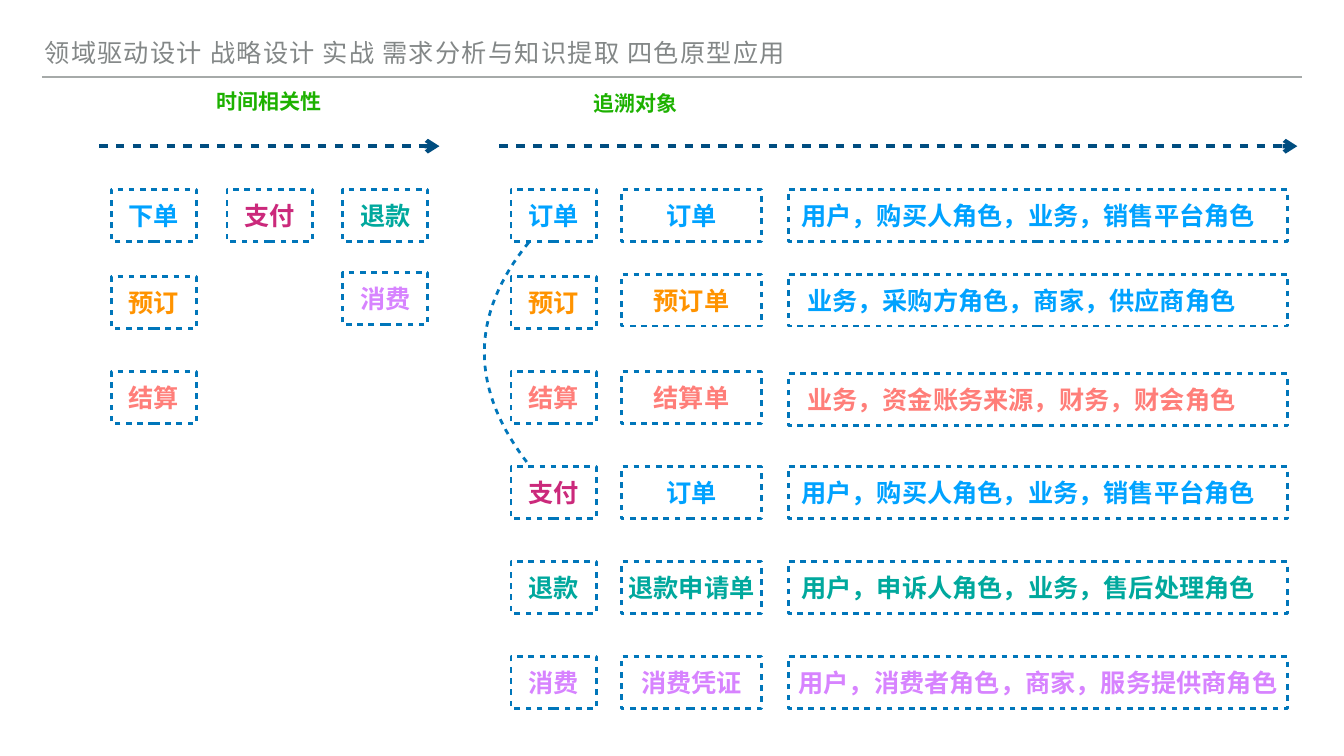
import pptx
import pptx.util
import pptx.dml.color
import pptx.enum.shapes
import pptx.enum.text
import pptx.oxml
import pptx.oxml.ns

Pt = pptx.util.Pt
SHAPE = pptx.enum.shapes.MSO_SHAPE
STRAIGHT = pptx.enum.shapes.MSO_CONNECTOR.STRAIGHT
ANCHOR = pptx.enum.text.MSO_ANCHOR
ALIGN = pptx.enum.text.PP_ALIGN
FIT = pptx.enum.text.MSO_AUTO_SIZE.SHAPE_TO_FIT_TEXT

BLUE, ORANGE, CORAL = "00A2FF", "FF9300", "FF7E79"
PINK, TEAL, LILAC = "CB297B", "00A89D", "D783FF"
GREEN, NAVY, EDGE = "1DB100", "004D80", "0076BA"
GRAY, RULE = "838787", "A6AAA9"

CARD_W, CARD_H = 121.7, 74.2
STEP = 135.6  # distance between rows


def color(code):
    return pptx.dml.color.RGBColor.from_string(code)


def node(tag, inner=""):
    space = pptx.oxml.ns.nsdecls("a")
    return pptx.oxml.parse_xml(f"<a:{tag} {space}>{inner}</a:{tag}>")


def stroke(shape, code, width, dashed=True):
    shape.line.color.rgb = color(code)
    shape.line.width = Pt(width)
    if dashed:
        line = shape.line._get_or_add_ln()
        line.append(node("custDash", '<a:ds d="200000" sp="200000"/>'))


def text(slide, box, words, code, size=36, wrap=True):
    shape = slide.shapes.add_textbox(*map(Pt, box))
    frame = shape.text_frame
    frame.word_wrap = wrap
    frame.auto_size = FIT
    frame.vertical_anchor = ANCHOR.MIDDLE
    frame.margin_left = frame.margin_right = Pt(4)
    frame.margin_top = frame.margin_bottom = Pt(4)
    para = frame.paragraphs[0]
    para.add_run().text = words
    para.alignment = ALIGN.CENTER
    para.font.name = "Arial"
    para.font.size = Pt(size)
    para.font.bold = True
    para.font.color.rgb = color(code)
    return frame


def rule(slide, left, right, top, code, width, arrow=False):
    line = slide.shapes.add_connector(
        STRAIGHT, Pt(left), Pt(top), Pt(right), Pt(top))
    stroke(line, code, width, dashed=arrow)
    if arrow:
        tail = node("tailEnd")
        tail.set("type", "arrow")
        line.line._get_or_add_ln().append(tail)
    line._element.spPr.append(node("effectLst"))


def card(slide, box, words, code, inset=0, span=None):
    """A dashed frame with a label; span is the width of the label."""
    left, top, width, height = box
    span = span or width - 2 * inset
    text(slide, (left + inset, top + 8, span, 58.2), words, code,
         wrap=not inset)
    frame = slide.shapes.add_shape(SHAPE.RECTANGLE, *map(Pt, box))
    frame.shadow.inherit = False
    frame.fill.background()
    stroke(frame, EDGE, 4)


def small(slide, left, top, words, code):
    card(slide, (left, top, CARD_W, CARD_H), words, code, inset=20.2)


def header(slide, left, top, width):
    frame = text(slide, (left, top, 1650, 58.2),
                 "领域驱动设计 战略设计 实战 需求分析与知识提取 四色原型应用", GRAY)
    frame.vertical_anchor = ANCHOR.BOTTOM
    para = frame.paragraphs[0]
    para.alignment = ALIGN.LEFT
    para.line_spacing = 0.8
    para.font.name = "Lato"
    para.font.bold = False
    para.runs[0].font._element.set("spc", "180")
    rule(slide, left, left + width, top + 68.4, RULE, 2)


def times(slide, left, top):
    """Events in order of time."""
    text(slide, (left + 163.4, top, 159, 49.6), "时间相关性", GREEN, 30, False)
    rule(slide, left, left + 486, top + 88.6, NAVY, 6, arrow=True)
    cards = [  # column, offset from the first row, label, colour
        (0, 0, "下单", BLUE), (1, 0, "支付", PINK), (2, 0, "退款", TEAL),
        (0, 124.6, "预订", ORANGE), (2, 118.8, "消费", LILAC),
        (0, 124.6 + STEP, "结算", CORAL),
    ]
    for col, drop, words, code in cards:
        small(slide, left + 17.3 + 165.2 * col, top + 150.5 + drop,
              words, code)


def curve(slide, start, one, two, end):
    """A dashed cubic curve from start to end."""
    count = 32
    points = []
    for step in range(count + 1):
        t = step / count
        u = 1 - t
        points.append([
            Pt(u**3 * a + 3 * u * u * t * b + 3 * u * t * t * c + t**3 * d)
            for a, b, c, d in zip(start, one, two, end)])
    pen = slide.shapes.build_freeform(*points[0])
    pen.add_line_segments(points[1:], close=False)
    shape = pen.convert_to_shape()
    shape.shadow.inherit = False
    shape.fill.background()
    stroke(shape, EDGE, 4)


def traces(slide, left, top):
    """Each event with its document and its roles."""
    text(slide, (left + 129.6, top + 2, 129, 49.6), "追溯对象", GREEN, 30, False)
    rule(slide, left, left + 1139.8, top + 88.6, NAVY, 6, arrow=True)
    rows = [  # event, colour, document, colour, roles, colour,
              # document shift, roles shift, width of the roles label
        ("订单", BLUE, "订单", BLUE,
         "用户，购买人角色，业务，销售平台角色", BLUE, 0, 0, 685.4),
        ("预订", ORANGE, "预订单", ORANGE,
         "业务，采购方角色，商家，供应商角色", BLUE, -3.6, -3.6, 666),
        ("结算", CORAL, "结算单", CORAL,
         "业务，资金账务来源，财务，财会角色", CORAL, 0, 3, 666),
        ("支付", PINK, "订单", BLUE,
         "用户，购买人角色，业务，销售平台角色", BLUE, 0, 0, 685.4),
        ("退款", TEAL, "退款申请单", TEAL,
         "用户，申诉人角色，业务，售后处理角色", TEAL, 0, 0, 685.4),
        ("消费", LILAC, "消费凭证", LILAC,
         "用户，消费者角色，商家，服务提供商角色", LILAC, 0, 0, 713),
    ]
    for row, (event, hue, paper, tint, roles, tone,
              lift, drop, span) in enumerate(rows):
        y = top + 150.5 + (124.6 + STEP * (row - 1) if row else 0)
        small(slide, left + 16.6, y, event, hue)
        card(slide, (left + 174.2, y + lift, 200.2, CARD_H), paper, tint)
        card(slide, (left + 412.6, y + drop, 713, CARD_H), roles, tone,
             span=span)
    # Link from order to payment
    curve(slide, (left + 41.8, top + 226.1), (left - 43.2, top + 330.5),
          (left - 42.5, top + 436.3), (left + 42.5, top + 544.3))


def main():
    deck = pptx.Presentation()
    deck.slide_width, deck.slide_height = Pt(1920), Pt(1080)
    slide = deck.slides.add_slide(deck.slide_layouts[6])
    header(slide, 59.8, 41.8, 1800)
    times(slide, 141.8, 120.2)
    traces(slide, 713.5, 120.2)
    deck.save("out.pptx")


if __name__ == "__main__":
    main()
